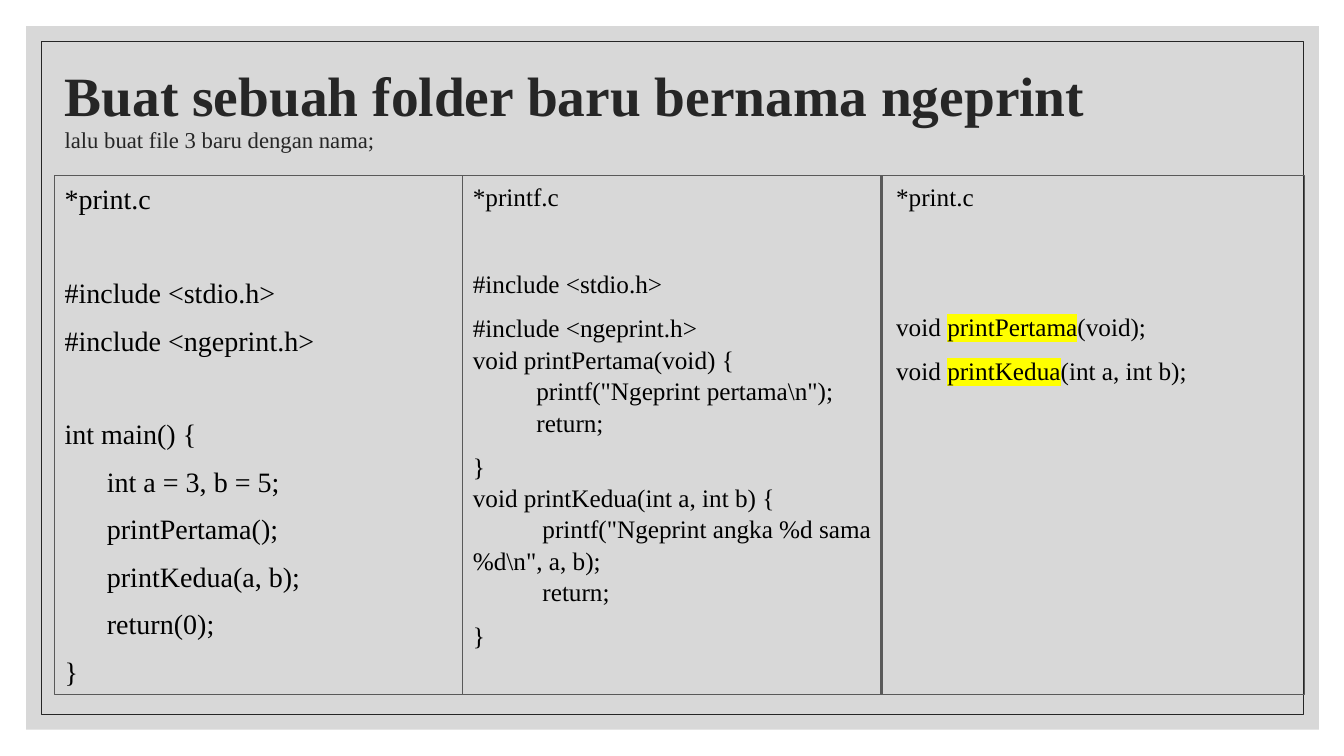
import dataclasses

import pptx
import pptx.dml.color
import pptx.enum.shapes
import pptx.enum.text
import pptx.oxml
import pptx.oxml.ns
import pptx.util

Inches = pptx.util.Inches
Pt = pptx.util.Pt
qn = pptx.oxml.ns.qn


@dataclasses.dataclass(frozen=True)
class Theme:
    """Colours, type sizes and spacing of the slide."""
    font: str = "Times New Roman"
    panel: str = "BFBFBF"
    ink: str = "262626"
    code: str = "000000"
    rule: str = "595959"
    marker: str = "FFFF00"
    title_size: float = 39.6
    subtitle_size: float = 16.2
    large_code: float = 20
    small_code: float = 18
    paragraph_gap: float = 9
    leading: float = 1.04
    line_height: float = 1.2


@dataclasses.dataclass(frozen=True)
class Line:
    """One line of code, its indent in inches and the gap above it."""
    text: str
    indent: float = 0
    blanks: int = 0
    tight: bool = False
    marked: str = ""


THEME = Theme()
TOP, HEIGHT = 1.74, 5.15

MAIN_FILE = [
    Line("*print.c"),
    Line("#include <stdio.h>", blanks=1),
    Line("#include <ngeprint.h>"),
    Line("int main() {", blanks=1, tight=True),
    Line("int a = 3, b = 5;", 0.42),
    Line("printPertama();", 0.42),
    Line("printKedua(a, b);", 0.42),
    Line("return(0);", 0.42),
    Line("}"),
]
SOURCE_FILE = [
    Line("*printf.c"),
    Line("#include <stdio.h>", blanks=1),
    Line("#include <ngeprint.h>"),
    Line("void printPertama(void) {", tight=True),
    Line(r'printf("Ngeprint pertama\n");', 0.63, tight=True),
    Line("return;", 0.63, tight=True),
    Line("}"),
    Line("void printKedua(int a, int b) {", tight=True),
    Line(r'printf("Ngeprint angka %d sama %d\n", a, b);', 0.69, tight=True),
    Line("return;", 0.69, tight=True),
    Line("}"),
]
HEADER_FILE = [
    Line("*print.c"),
    Line("void printPertama(void);", blanks=2, marked="printPertama"),
    Line("void printKedua(int a, int b);", marked="printKedua"),
]


def apply_format(target, values):
    """Set each attribute named in a dict of format values."""
    for name, value in values.items():
        setattr(target, name, value)


def place(shape, box):
    """Move a shape to a left, top, width, height box in inches."""
    apply_format(shape, dict(zip(("left", "top", "width", "height"), map(Inches, box))))


def add_span(para, text, size, color, bold=False, highlight=None):
    """Add a formatted run, with a highlight colour if one is given."""
    span = para.add_run()
    span.text = text
    apply_format(span.font, {"name": THEME.font, "size": Pt(size), "bold": bold})
    span.font.color.rgb = pptx.dml.color.RGBColor.from_string(color)
    if highlight:
        mark = pptx.oxml.parse_xml(
            f'<a:highlight {pptx.oxml.ns.nsdecls("a")}><a:srgbClr val="{highlight}"/></a:highlight>')
        span._r.rPr.find(qn("a:solidFill")).addnext(mark)


def add_rectangle(page, box, line=None, width=1, fill=None, opacity=100):
    """Draw a rectangle with an outline, a translucent fill or both."""
    shape = page.shapes.add_shape(
        pptx.enum.shapes.MSO_SHAPE.RECTANGLE, *map(Inches, box))
    shape.shadow.inherit = False
    if fill:
        shape.fill.solid()
        shape.fill.fore_color.rgb = pptx.dml.color.RGBColor.from_string(fill)
        color = shape.element.spPr.find(qn("a:solidFill"))[0]
        color.append(pptx.oxml.parse_xml(
            f'<a:alpha {pptx.oxml.ns.nsdecls("a")} val="{opacity * 1000}"/>'))
    else:
        shape.fill.background()
    if line:
        shape.line.color.rgb = pptx.dml.color.RGBColor.from_string(line)
        shape.line.width = Pt(width)
    else:
        shape.line.fill.background()
    return shape


def draw_backdrop(page, box):
    """Put the grey panel and its inset frame behind everything else."""
    left, top, width, height = box
    inset = 0.15
    frame_box = (left + inset, top + inset, width - 2 * inset, height - 2 * inset)
    panel = add_rectangle(page, box, fill=THEME.panel, opacity=60)
    frame = add_rectangle(page, frame_box, line=THEME.ink, width=0.5)
    for position, shape in enumerate((panel, frame), start=2):
        shape.element.getparent().insert(position, shape.element)


def fill_title(title, box):
    """Write the heading and its smaller second line."""
    place(title, box)
    apply_format(title.text_frame, {
        "word_wrap": True,
        "auto_size": pptx.enum.text.MSO_AUTO_SIZE.NONE,
        "vertical_anchor": pptx.enum.text.MSO_ANCHOR.MIDDLE,
    })
    para = title.text_frame.paragraphs[0]
    apply_format(para, {"alignment": pptx.enum.text.PP_ALIGN.LEFT, "line_spacing": 0.9})
    add_span(para, "Buat sebuah folder baru bernama ngeprint", THEME.title_size, THEME.ink, True)
    para.add_line_break()
    add_span(para, "lalu buat file 3 baru dengan nama;", THEME.subtitle_size, THEME.ink)


def fill_code(holder, box, lines, size):
    """Write one code file into a placeholder or text box."""
    place(holder, box)
    frame = holder.text_frame
    apply_format(frame, {
        "word_wrap": True,
        "auto_size": pptx.enum.text.MSO_AUTO_SIZE.NONE,
        "vertical_anchor": pptx.enum.text.MSO_ANCHOR.TOP,
    })
    for number, line in enumerate(lines):
        para = frame.add_paragraph() if number else frame.paragraphs[0]
        gaps = line.blanks + (not line.tight)
        space = gaps * THEME.paragraph_gap + line.blanks * size * THEME.line_height
        if line.tight and line.blanks:
            space += THEME.paragraph_gap
        apply_format(para, {
            "alignment": pptx.enum.text.PP_ALIGN.LEFT,
            "line_spacing": THEME.leading,
            "space_before": Pt(space),
            "space_after": Pt(0),
        })
        settings = para._p.get_or_add_pPr()
        settings.set("marL", "0")
        settings.set("indent", str(Inches(line.indent)))
        settings.append(pptx.oxml.parse_xml(f'<a:buNone {pptx.oxml.ns.nsdecls("a")}/>'))
        if line.marked:
            before, after = line.text.split(line.marked)
            add_span(para, before, size, THEME.code)
            add_span(para, line.marked, size, THEME.code, highlight=THEME.marker)
            add_span(para, after, size, THEME.code)
        else:
            add_span(para, line.text, size, THEME.code)


def main():
    """Build the slide and save it."""
    deck = pptx.Presentation()
    apply_format(deck, {"slide_width": Inches(13.33), "slide_height": Inches(7.5)})
    page = deck.slides.add_slide(deck.slide_layouts[3])
    draw_backdrop(page, (0.26, 0.26, 12.82, 6.98))
    fill_title(page.shapes.title, (0.54, 0.35, 11, 1.5))
    text_box = page.shapes.add_textbox(0, 0, Inches(1), Inches(1))
    columns = [
        (page.placeholders[1], 0.54, 4.05, MAIN_FILE, THEME.large_code),
        (page.placeholders[2], 4.59, 4.2, SOURCE_FILE, THEME.small_code),
        (text_box, 8.79, 4.2, HEADER_FILE, THEME.small_code),
    ]
    for holder, left, width, lines, size in columns:
        fill_code(holder, (left, TOP, width, HEIGHT), lines, size)
    for left, width in ((0.54, 4.05), (4.59, 4.16), (8.74, 4.2)):
        add_rectangle(page, (left, TOP, width, HEIGHT), line=THEME.rule)
    deck.save("out.pptx")


if __name__ == "__main__":
    main()
